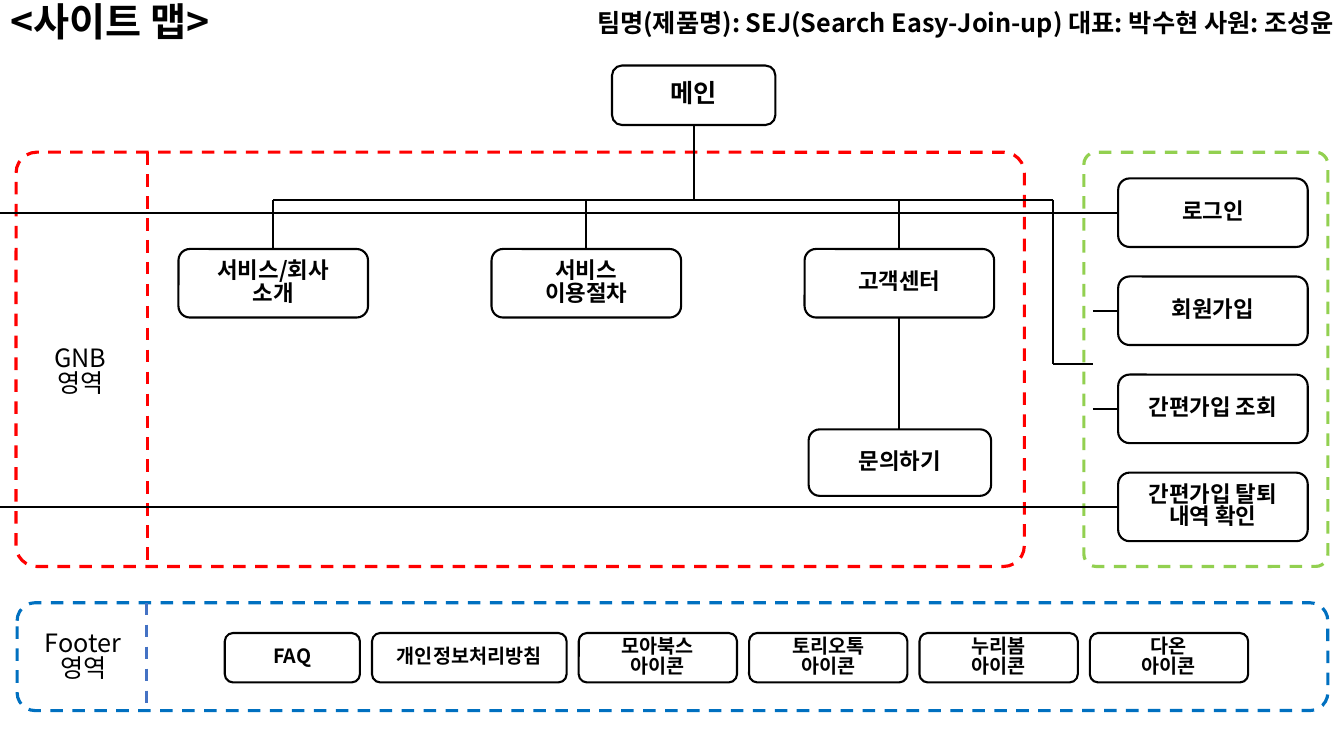
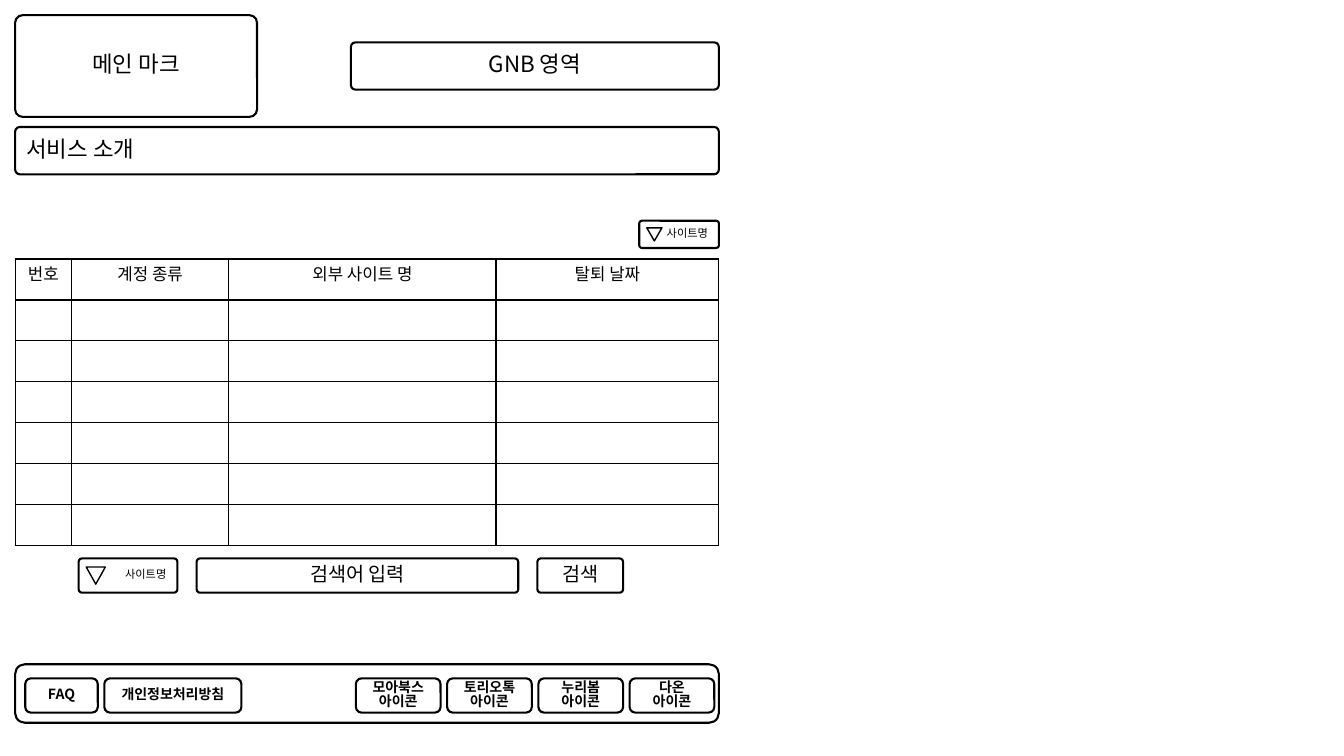
from itertools import pairwise

from lxml import etree
from pptx import Presentation
from pptx.dml.color import RGBColor
from pptx.enum.dml import MSO_LINE
from pptx.enum.shapes import MSO_CONNECTOR, MSO_SHAPE
from pptx.enum.text import MSO_ANCHOR, MSO_AUTO_SIZE, PP_ALIGN
from pptx.oxml.ns import qn
from pptx.util import Inches, Pt

LEFT, CENTER, RIGHT = PP_ALIGN.LEFT, PP_ALIGN.CENTER, PP_ALIGN.RIGHT
MIDDLE = MSO_ANCHOR.MIDDLE
DASH = MSO_LINE.DASH
STRAIGHT = MSO_CONNECTOR.STRAIGHT
ROUNDED = MSO_SHAPE.ROUNDED_RECTANGLE
TRIANGLE = MSO_SHAPE.ISOSCELES_TRIANGLE
TITLE_ONLY, BLANK = 5, 6

WIDTH, HEIGHT = 13.33, 7.5
FONT = "Noto Sans CJK KR"
LINE_SPACING = 0.83
COLORS = {
    "ink": "000000",
    "paper": "FFFFFF",
    "gnb": "FF0000",
    "member": "92D050",
    "footer": "0070C0",
    "divider": "4472C4",
}
FOOTER_LINKS = ["FAQ", "개인정보처리방침"]
FOOTER_ICONS = [f"{name}\n아이콘" for name in ("모아북스", "토리오톡", "누리봄", "다온")]

# Site map grid
MENU_LEFT, MENU_STEP, MENU_TOP = 1.77, 3.105, 2.47
MEMBER_LEFT, MEMBER_TOP, MEMBER_STEP = 11.09, 1.77, 0.973
CARD_WIDTH, CARD_HEIGHT = 1.88, 0.68
BUS_TOP = 1.98

# Wireframe grid
PAGE_LEFT, PAGE_WIDTH = 0.15, 6.98
PAGE_RIGHT = PAGE_LEFT + PAGE_WIDTH
TIGHT = 0.1


def rgb(name):
    return RGBColor.from_string(COLORS[name])


def inches(*lengths):
    return [Inches(length) for length in lengths]


def write(frame, text, size=16, bold=False, align=CENTER, color="ink"):
    """Fill a text frame, one paragraph for each line of text."""
    for index, line in enumerate(text.split("\n")):
        para = frame.paragraphs[0] if index == 0 else frame.add_paragraph()
        para.alignment = align
        para.line_spacing = LINE_SPACING
        span = para.add_run()
        span.text = line
        span.font.size = Pt(size)
        span.font.bold = bold
        span.font.color.rgb = rgb(color)
        span.font.name = FONT
        east_asian = etree.SubElement(span.font._element, qn("a:ea"))
        east_asian.set("typeface", FONT)


def add_label(slide, text, left, top, width, height, **style):
    box = slide.shapes.add_textbox(*inches(left, top, width, height))
    box.text_frame.word_wrap = True
    box.text_frame.vertical_anchor = MIDDLE
    write(box.text_frame, text, **style)


def add_outline(slide, left, top, width, height, kind=ROUNDED, fill="paper",
                line="ink", weight=1.5, corner=None, dash=None):
    """Draw an outlined shape; fill=None leaves it see-through."""
    shape = slide.shapes.add_shape(kind, *inches(left, top, width, height))
    shape.shadow.inherit = False
    if fill:
        shape.fill.solid()
        shape.fill.fore_color.rgb = rgb(fill)
    else:
        shape.fill.background()
    shape.line.color.rgb = rgb(line)
    shape.line.width = Pt(weight)
    if dash:
        shape.line.dash_style = dash
    if corner is not None:
        shape.adjustments[0] = corner
    return shape


def add_card(slide, text, left, top, width, height, corner=None, **style):
    card = add_outline(slide, left, top, width, height, corner=corner)
    card.text_frame.word_wrap = True
    card.text_frame.vertical_anchor = MIDDLE
    write(card.text_frame, text, **style)


def add_area(slide, color, left, top, width, height, corner=None):
    add_outline(slide, left, top, width, height, fill=None, line=color,
                weight=2.25, corner=corner, dash=DASH)


def add_route(slide, *points, color="ink", weight=1.5, dash=None):
    """Join the points with straight connectors."""
    for start, end in pairwise(points):
        line = slide.shapes.add_connector(STRAIGHT, *inches(*start, *end))
        line.line.color.rgb = rgb(color)
        line.line.width = Pt(weight)
        if dash:
            line.line.dash_style = dash
        etree.SubElement(line._element.spPr, qn("a:effectLst"))


def add_card_row(slide, texts, widths, left, top, height, gap, **style):
    for text, width in zip(texts, widths):
        add_card(slide, text, left, top, width, height, bold=True, **style)
        left += width + gap


def add_site_picker(slide, left, top, width, height, arrow):
    """Draw a drop-down box whose arrow has the given width and height."""
    add_card(slide, "사이트명", left, top, width, height, corner=TIGHT,
             size=8, align=RIGHT)
    arrow_width, arrow_height = arrow
    triangle = add_outline(slide, left + 0.075, top + (height - arrow_height) / 2,
                           arrow_width, arrow_height, kind=TRIANGLE, weight=1)
    triangle.rotation = 180


def border_cell(cell):
    cell.fill.background()
    properties = cell._tc.get_or_add_tcPr()
    for index, side in enumerate(("lnL", "lnR", "lnT", "lnB")):
        edge = etree.Element(qn(f"a:{side}"), w=str(Pt(1)))
        fill = etree.SubElement(edge, qn("a:solidFill"))
        etree.SubElement(fill, qn("a:srgbClr"), val=COLORS["ink"])
        properties.insert(index, edge)


def add_grid_table(slide, headings, widths, row_count, left, top, height):
    frame = slide.shapes.add_table(row_count, len(headings),
                                   *inches(left, top, sum(widths), height))
    table = frame.table
    table.first_row = table.horz_banding = False
    for column, width in zip(table.columns, widths):
        column.width = Inches(width)
    for row in table.rows:
        row.height = Inches(height / row_count)
        for cell in row.cells:
            cell.margin_bottom = 0
            border_cell(cell)
    for cell, heading in zip(table.rows[0].cells, headings):
        write(cell.text_frame, heading, size=12)


def set_title(slide, text):
    title = slide.shapes.title
    title.left, title.top, title.width, title.height = inches(0, 0, 2.46, 0.5)
    frame = title.text_frame
    frame.auto_size = MSO_AUTO_SIZE.NONE
    frame.word_wrap = True
    frame.vertical_anchor = MIDDLE
    write(frame, text, size=28, bold=True, align=LEFT)


def add_map_footer(slide):
    top, height = 5.98, 1.07
    add_area(slide, "footer", 0.17, top, 13, height)
    add_label(slide, "Footer\n영역", 0.17, 6.28, 1.31, 0.49, size=18)
    add_card_row(slide, FOOTER_LINKS + FOOTER_ICONS, [1.34, 1.93] + [1.57] * 4,
                 left=2.23, top=6.28, height=0.49, gap=0.12, size=14)
    add_route(slide, (1.45, top), (1.45, top + height),
              color="divider", weight=2.25, dash=DASH)


def add_map_routes(slide):
    centers = [MENU_LEFT + CARD_WIDTH / 2 + MENU_STEP * i for i in range(3)]
    member_rows = [MEMBER_TOP + CARD_HEIGHT / 2 + MEMBER_STEP * i for i in range(4)]
    stub, branch = 10.84, 10.44
    add_route(slide, (6.88, 1.24), (6.88, BUS_TOP))
    add_route(slide, (centers[0], BUS_TOP), (branch, BUS_TOP), (branch, 3.61), (stub, 3.61))
    for center in centers:
        add_route(slide, (center, BUS_TOP), (center, MENU_TOP))
    add_route(slide, (centers[2], MENU_TOP + CARD_HEIGHT), (centers[2], 4.26))
    for start, row in zip((0, stub, stub, 0), member_rows):
        add_route(slide, (start, row), (MEMBER_LEFT, row))


def build_site_map(deck):
    slide = deck.slides.add_slide(deck.slide_layouts[TITLE_ONLY])
    set_title(slide, "<사이트 맵>")
    add_label(slide, "팀명(제품명): SEJ(Search Easy-Join-up) 대표: 박수현 사원: 조성윤",
              5.29, 0, WIDTH - 5.29, 0.5, size=18, bold=True, align=RIGHT)
    add_map_footer(slide)

    area_top, area_height = 1.51, 4.11
    add_area(slide, "gnb", 0.16, area_top, 10, area_height, corner=0.05)
    add_route(slide, (1.46, area_top), (1.46, area_top + area_height),
              color="gnb", weight=2.25, dash=DASH)
    add_label(slide, "GNB\n영역", 0.14, 3.45, 1.31, 0.49, size=18)
    add_area(slide, "member", 10.75, area_top, 2.42, area_height, corner=0.05)

    add_map_routes(slide)
    add_card(slide, "메인", 6.07, 0.65, 1.62, 0.59, size=18, bold=True)
    add_card_row(slide, ["서비스/회사\n소개", "서비스\n이용절차", "고객센터"],
                 [CARD_WIDTH] * 3, left=MENU_LEFT, top=MENU_TOP,
                 height=CARD_HEIGHT, gap=MENU_STEP - CARD_WIDTH)
    add_card(slide, "문의하기", 8.02, 4.26, 1.81, 0.66, bold=True)
    members = ["로그인", "회원가입", "간편가입 조회", "간편가입 탈퇴 내역 확인"]
    for index, text in enumerate(members):
        add_card(slide, text, MEMBER_LEFT, MEMBER_TOP + MEMBER_STEP * index,
                 CARD_WIDTH, CARD_HEIGHT, bold=True)


def build_wireframe(deck):
    slide = deck.slides.add_slide(deck.slide_layouts[BLANK])
    add_card(slide, "메인 마크", PAGE_LEFT, 0.15, 2.4, 1.01, corner=0.075)
    add_card(slide, "GNB 영역", PAGE_RIGHT - 3.65, 0.42, 3.65, 0.47, corner=TIGHT)
    add_card(slide, "서비스 소개", PAGE_LEFT, 1.26, PAGE_WIDTH, 0.47,
             corner=TIGHT, align=LEFT)

    add_site_picker(slide, PAGE_RIGHT - 0.79, 2.19, 0.79, 0.27, arrow=(0.15, 0.13))
    add_grid_table(slide, ["번호", "계정 종류", "외부 사이트 명", "탈퇴 날짜"],
                   [0.56, 1.56, 2.65, 2.21], row_count=7,
                   left=PAGE_LEFT, top=2.57, height=2.84)

    search_top, search_height = 5.54, 0.34
    add_site_picker(slide, 0.78, search_top, 0.98, search_height, arrow=(0.19, 0.17))
    for text, left, width in (("검색어 입력", 1.95, 3.19), ("검색", 5.33, 0.85)):
        add_card(slide, text, left, search_top, width, search_height,
                 corner=TIGHT, size=14)

    add_outline(slide, PAGE_LEFT, 6.59, PAGE_WIDTH, 0.58)
    footer = {"top": 6.73, "height": 0.34, "gap": 0.065, "size": 10}
    add_card_row(slide, FOOTER_LINKS, [0.72, 1.36], left=0.25, **footer)
    add_card_row(slide, FOOTER_ICONS, [0.84] * 4, left=3.53, **footer)


def main():
    deck = Presentation()
    deck.slide_width, deck.slide_height = inches(WIDTH, HEIGHT)
    build_site_map(deck)
    build_wireframe(deck)
    deck.save("out.pptx")


if __name__ == "__main__":
    main()
